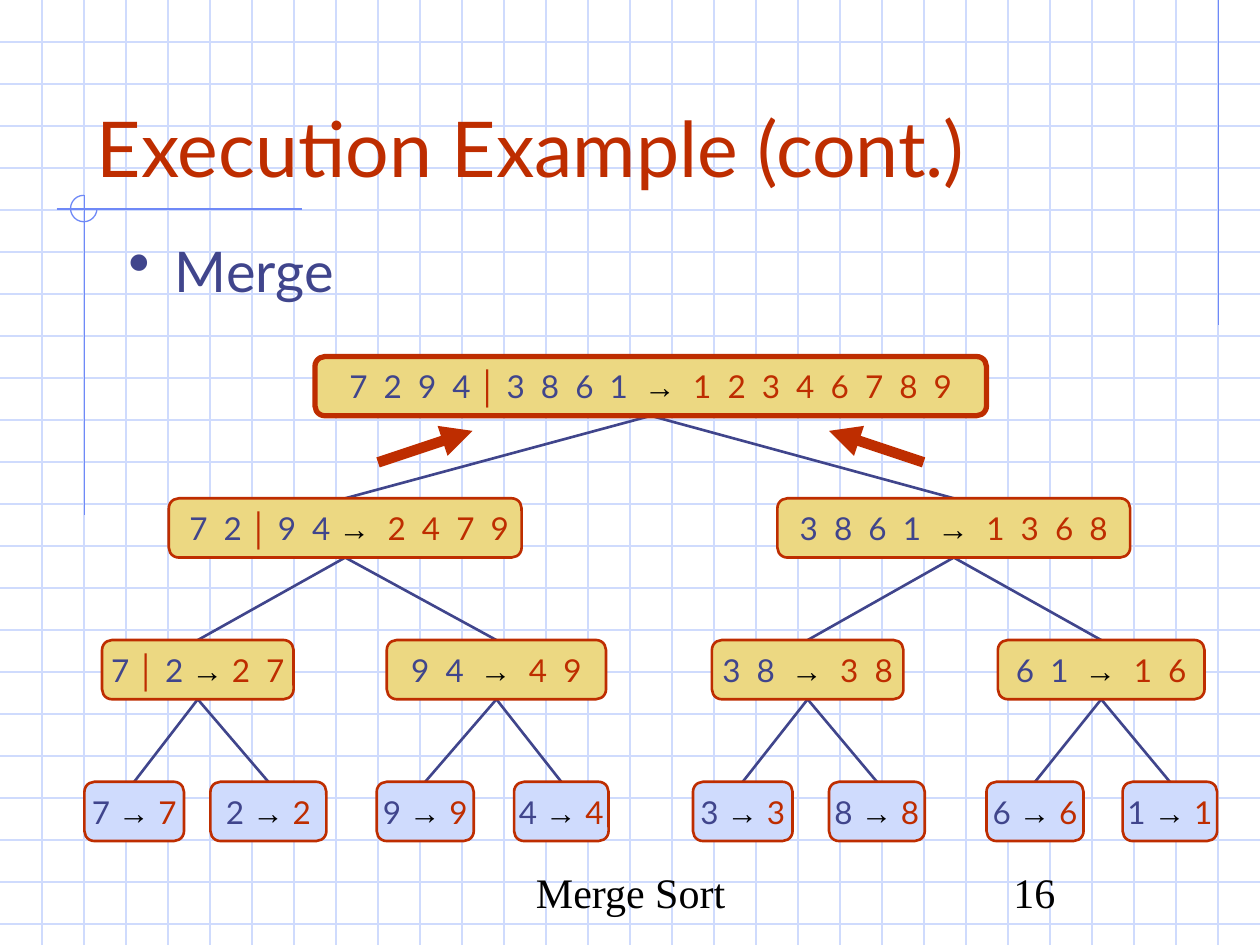
from dataclasses import dataclass
from typing import Any, NamedTuple

from lxml import etree
from pptx import Presentation, util as u
from pptx.dml.color import RGBColor
from pptx.enum import shapes as sh, text as tx
from pptx.oxml.ns import qn


@dataclass(frozen=True)
class Theme:
    grid: str = "CFDBFD"
    trim: str = "6F89F7"
    navy: str = "40458C"
    rust: str = "BE2D00"
    sand: str = "ECD882"
    ink: str = "000000"
    sans: str = "Lato"
    sign: str = "Arial"
    serif: str = "Times New Roman"
    title: int = 44
    body: int = 32
    foot: int = 24
    node: int = 18


class Node(NamedTuple):
    left: float
    width: float
    label: str


class Run(NamedTuple):
    words: str
    face: str
    color: str
    size: int
    bold: bool = False


class Line(NamedTuple):
    x1: float
    y1: float
    x2: float
    y2: float
    color: str
    width: float = 0.75
    arrow: bool = False


T = Theme()
TOP, STEP, HIGH = 2.83, 1.125, 0.47
CELL = 1 / 3

TREE = [
    Node(2.5, 5.33, "7  2  9  4 │ 3  8  6  1  →  1  2  3  4  6  7  8  9"),
    Node(1.34, 2.8, " 7  2 │ 9  4 →  2  4  7  9"),
    Node(6.17, 2.8, "3  8  6  1  →  1  3  6  8"),
    Node(0.81, 1.52, "7 │ 2 → 2  7"),
    Node(3.07, 1.74, "9  4  →  4  9"),
    Node(5.65, 1.52, "3  8  →  3  8"),
    Node(7.92, 1.64, "6  1  →  1  6"),
    Node(0.67, 0.79, "7 → 7"),
    Node(1.67, 0.92, "2 → 2"),
    Node(2.99, 0.77, "9 → 9"),
    Node(4.08, 0.75, "4 → 4"),
    Node(5.5, 0.79, "3 → 3"),
    Node(6.58, 0.76, "8 → 8"),
    Node(7.83, 0.77, "6 → 6"),
    Node(8.91, 0.75, "1 → 1"),
]


def rgb(color: str) -> RGBColor:
    return RGBColor.from_string(color)


def apply(obj: Any, form: dict[str, Any]) -> None:
    for key, val in form.items():
        setattr(obj, key, val)


def draw_line(slide: Any, ln: Line) -> None:
    ends = [u.Inches(v) for v in ln[:4]]
    wire = slide.shapes.add_connector(sh.MSO_CONNECTOR.STRAIGHT, *ends)
    wire.line.width = u.Pt(ln.width)
    wire.line.color.rgb = rgb(ln.color)
    props = wire.element.spPr
    if ln.arrow:
        etree.SubElement(props.find(qn("a:ln")), qn("a:tailEnd"), type="triangle")
    etree.SubElement(props, qn("a:effectLst"))


def write(shape: Any, runs: list[Run], align: Any, anchor: Any, wrap: bool) -> Any:
    frame = shape.text_frame
    apply(frame, {"word_wrap": wrap, "vertical_anchor": anchor})
    para = frame.paragraphs[0]
    para.alignment = align
    for item in runs:
        run = para.add_run()
        run.text = item.words
        apply(run.font, {"name": item.face, "size": u.Pt(item.size), "bold": item.bold})
        run.font.color.rgb = rgb(item.color)
    return para


def add_text(slide: Any, at: tuple[float, ...], run: Run, align: Any, anchor: Any) -> Any:
    box = slide.shapes.add_textbox(*[u.Inches(v) for v in at])
    return write(box, [run], align, anchor, True)


def split(label: str) -> list[Run]:
    left, _, right = label.partition("→")
    first, bar, rest = left.partition("│")
    goal = right.lstrip()
    gap = right[: len(right) - len(goal)]
    runs = [
        Run(first, T.sans, T.navy, T.node),
        Run(bar, T.sign, T.rust, T.node, True),
        Run(rest, T.sans, T.navy, T.node),
        Run("→" + gap, T.sign, T.ink, T.node, True),
        Run(goal, T.sans, T.rust, T.node),
    ]
    return [run for run in runs if run.words]


def level(i: int) -> int:
    return (i + 1).bit_length() - 1


def top(i: int) -> float:
    return TOP + STEP * level(i)


def mid(i: int) -> float:
    return TREE[i].left + TREE[i].width / 2


def draw_node(slide: Any, i: int) -> None:
    node = TREE[i]
    at = [u.Inches(v) for v in (node.left, top(i), node.width, HIGH)]
    box = slide.shapes.add_shape(sh.MSO_SHAPE.ROUNDED_RECTANGLE, *at)
    box.shadow.inherit = False
    box.fill.solid()
    box.fill.fore_color.rgb = rgb(T.grid if level(i) == 3 else T.sand)
    box.line.color.rgb = rgb(T.rust)
    box.line.width = u.Pt(1.5 if i else 3)
    write(box, split(node.label), tx.PP_ALIGN.CENTER, tx.MSO_ANCHOR.MIDDLE, False)


def draw_back(slide: Any) -> None:
    rows = [Line(0, k * CELL, 10, k * CELL, T.grid) for k in range(1, 23)]
    cols = [Line(k * CELL, 0, k * CELL, 7.5, T.grid) for k in range(1, 30)]
    trim = [
        Line(9.67, 0, 9.67, 2.58, T.trim),
        Line(0.45, 1.66, 2.4, 1.66, T.trim),
        Line(0.67, 1.55, 0.67, 4.09, T.trim),
    ]
    for ln in rows + cols + trim:
        draw_line(slide, ln)
    at = [u.Inches(v) for v in (0.56, 1.55, 0.21, 0.21)]
    ring = slide.shapes.add_shape(sh.MSO_SHAPE.ARC, *at)
    ring.adjustments[0], ring.adjustments[1] = 0, 162
    ring.shadow.inherit = False
    ring.fill.background()
    ring.line.color.rgb = rgb(T.trim)
    ring.line.width = u.Pt(0.75)


def add_bullet(para: Any) -> None:
    para.space_before = u.Pt(8)
    props = para._p.get_or_add_pPr()
    for key, val in {"marL": 0.37, "indent": -0.37}.items():
        props.set(key, str(u.Inches(val)))
    etree.SubElement(props, qn("a:buSzPct"), val="113000")
    etree.SubElement(props, qn("a:buChar"), char="•")


def draw_tree(slide: Any) -> None:
    for i in range(1, len(TREE)):
        up = (i - 1) // 2
        draw_line(slide, Line(mid(i), top(i), mid(up), top(up) + HIGH, T.navy, 1.5))
    for i in range(len(TREE)):
        draw_node(slide, i)
    for tail, tip in ((3, 3.75), (7.33, 6.58)):
        draw_line(slide, Line(tail, 3.67, tip, 3.42, T.rust, 6, True))


def main() -> None:
    deck = Presentation()
    apply(deck, {"slide_width": u.Inches(10), "slide_height": u.Inches(7.5)})
    slide = deck.slides.add_slide(deck.slide_layouts[6])
    left, center = tx.PP_ALIGN.LEFT, tx.PP_ALIGN.CENTER
    high, low = tx.MSO_ANCHOR.TOP, tx.MSO_ANCHOR.BOTTOM
    draw_back(slide)
    head = Run("Execution Example (cont.)", T.sans, T.rust, T.title)
    add_text(slide, (0.67, 0.33, 8.5, 1.25), head, left, low)
    body = Run("Merge", T.sans, T.navy, T.body)
    add_bullet(add_text(slide, (0.92, 1.83, 8.5, 0.75), body, left, high))
    draw_tree(slide)
    for words, x, wide in (("Merge Sort", 3.42, 3.17), ("16", 7.17, 2.08)):
        foot = Run(words, T.serif, T.ink, T.foot)
        add_text(slide, (x, 6.83, wide, 0.5), foot, center, low)
    deck.save("out.pptx")


if __name__ == "__main__":
    main()
